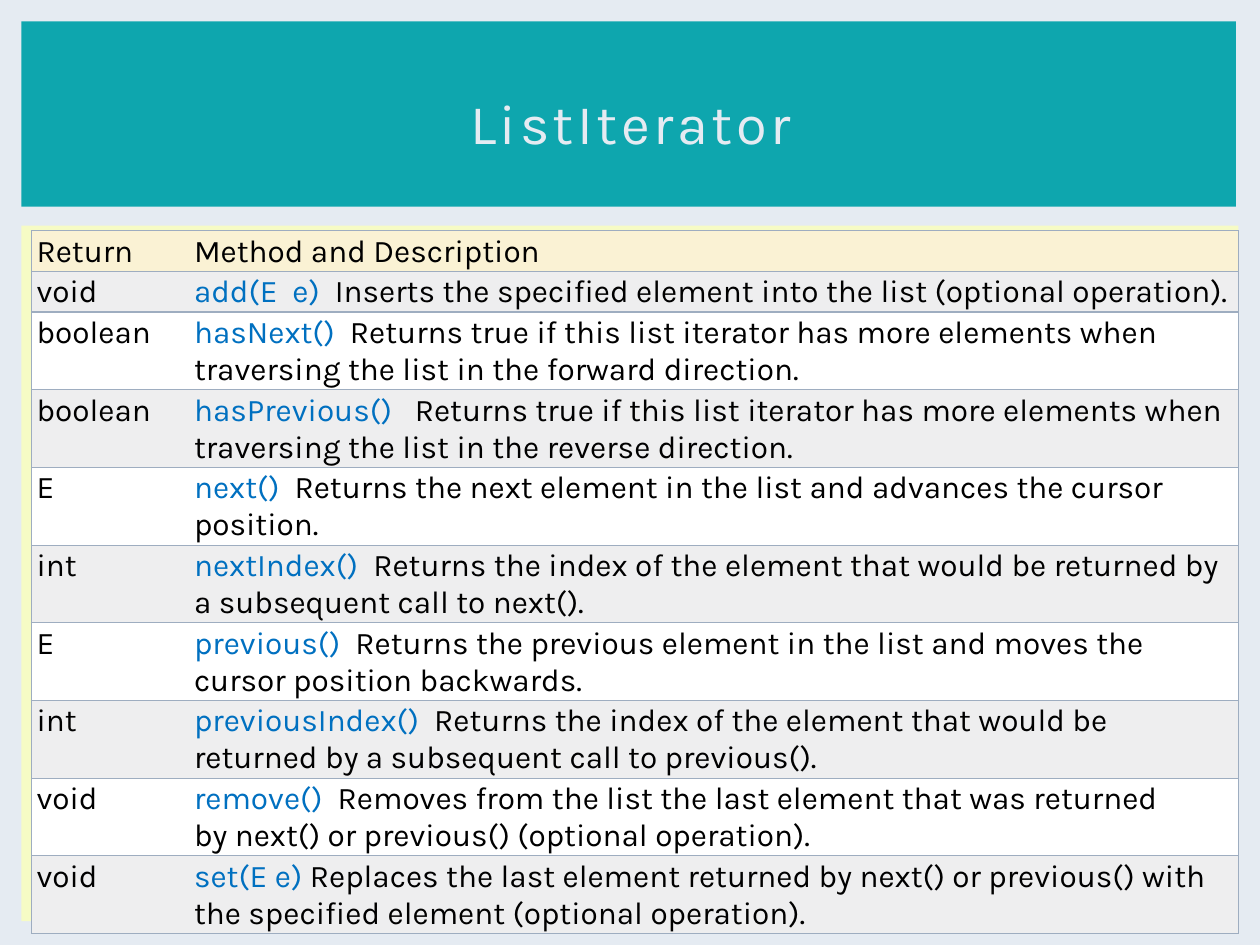
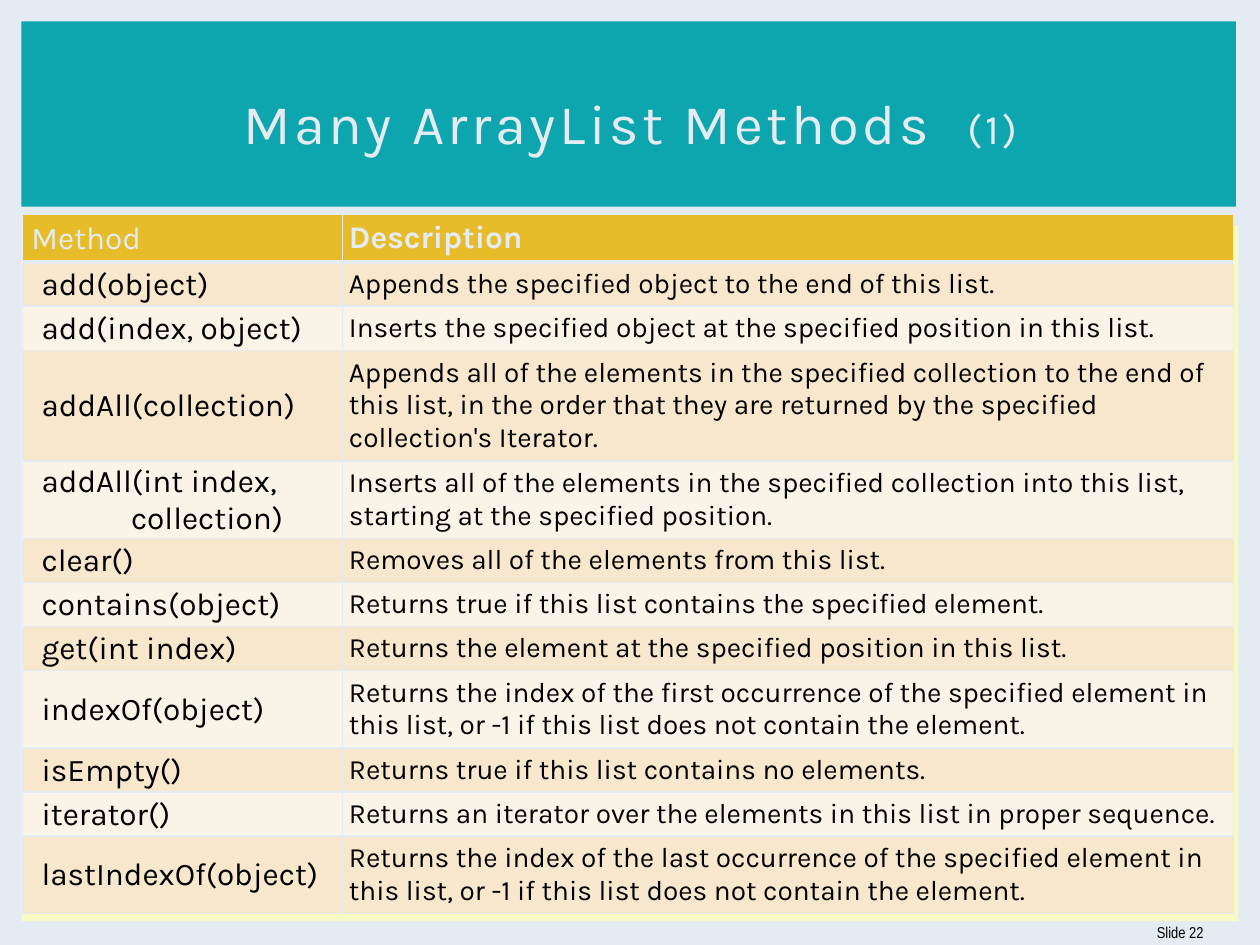
from lxml import etree
from pptx import Presentation
from pptx.dml.color import RGBColor
from pptx.enum.shapes import MSO_SHAPE as Shape
from pptx.enum.text import MSO_ANCHOR as Anchor, MSO_AUTO_SIZE as AutoSize, PP_ALIGN as Align
from pptx.oxml.ns import qn
from pptx.util import Inches, Pt

rgb = RGBColor.from_string

PAPER, TEAL, CREAM = "E5EBF2", "0EA6AE", "F6FBC5"
BLACK, METHOD_BLUE = "000000", "0070C0"
GRID, GRID_HEADER, GRID_BANDS = "9EADC0", "FAF2D4", ("EEEEEF", "FFFFFF")
GOLD, GOLD_BANDS = "E7BC29", ("F6E7CD", "FAF3E8")
NO_TABLE_STYLE = "{2D5ABB26-0587-4C30-8999-92F81FD0307C}"
NBSP = chr(160)  # no-break space


def write(paragraph, text, size=18, color=BLACK, font="Karla", bold=False, spacing=0):
    """Append a formatted run; spacing is the letter spacing in points."""
    run = paragraph.add_run()
    run.text = text
    run.font.size = Pt(size)
    run.font.name = font
    run.font.bold = bold
    run.font.color.rgb = rgb(color)
    if spacing:
        run._r.get_or_add_rPr().set("spc", str(spacing * 100))


def format_cell(cell, fill, margins, line, borders):
    """Margins run left, top, right, bottom; borders map L, R, T, B to points."""
    cell.fill.solid()
    cell.fill.fore_color.rgb = rgb(fill)
    (cell.margin_left, cell.margin_top,
     cell.margin_right, cell.margin_bottom) = map(Inches, margins)
    properties = cell._tc.get_or_add_tcPr()
    for position, side in enumerate(side for side in "LRTB" if side in borders):
        edge = etree.Element(qn(f"a:ln{side}"), w=str(Pt(borders[side])))
        solid = etree.SubElement(edge, qn("a:solidFill"))
        etree.SubElement(solid, qn("a:srgbClr"), val=line)
        properties.insert(position, edge)


iterator_methods = [
    ("void", "add(E  e)  ",
     "Inserts the specified element into the list (optional operation)."),
    ("boolean", "hasNext()  ",
     "Returns true if this list iterator has more elements when traversing the list "
     "in the forward direction."),
    ("boolean", "hasPrevious()   ",
     "Returns true if this list iterator has more elements when traversing the list "
     "in the reverse direction."),
    ("E", "next()  ",
     "Returns the next element in the list and advances the cursor position."),
    ("int", "nextIndex()  ",
     "Returns the index of the element that would be returned by a subsequent call to next()."),
    ("E", "previous()  ",
     "Returns the previous element in the list and moves the cursor position backwards."),
    ("int", "previousIndex()  ",
     "Returns the index of the element that would be returned by a subsequent call "
     "to previous()."),
    ("void", "remove()  ",
     "Removes from the list the last element that was returned "
     f"by{NBSP}next(){NBSP}or{NBSP}previous(){NBSP}(optional operation)."),
    ("void", "set(E e) ",
     "Replaces the last element returned by next() or previous() with the specified "
     "element (optional operation)."),
]

# Method, description, row height
array_list_methods = [
    ("add(object)", "Appends the specified object to the end of this list.", 0.35),
    ("add(index, object)",
     "Inserts the specified object at the specified position in this list.", 0.35),
    ("addAll(collection)",
     "Appends all of the elements in the specified collection to the end of this list, "
     "in the order that they are returned by the specified collection's Iterator.", 0.87),
    ("addAll(int index,\vcollection)",
     "Inserts all of the elements in the specified collection into this list, "
     "starting at the specified position.", 0.61),
    ("clear()", "Removes all of the elements from this list.", 0.35),
    ("contains(object)", "Returns true if this list contains the specified element.", 0.35),
    ("get(int index)", "Returns the element at the specified position in this list.", 0.35),
    ("indexOf(object)",
     "Returns the index of the first occurrence of the specified element in this list, "
     "or -1 if this list does not contain the element.", 0.61),
    ("isEmpty()", "Returns true if this list contains no elements.", 0.35),
    ("iterator()",
     "Returns an iterator over the elements in this list in proper sequence.", 0.35),
    ("lastIndexOf(object)",
     "Returns the index of the last occurrence of the specified element in this list, "
     "or -1 if this list does not contain the element.", 0.61),
]

# Title runs with sizes, footer, table left and top, column widths, row heights
pages = [
    ([("ListIterator", 32)], None, (0.25, 1.83), (1.25, 8.33),
     [0.32] * 2 + [0.61] * 8),
    ([("Many ArrayList Methods  ", 32), ("(1)", 24)], "Slide 22", (0.18, 1.7), (2.54, 7.07),
     [0.38] + [height for _, _, height in array_list_methods]),
]

prs = Presentation()
prs.slide_width, prs.slide_height = Inches(10), Inches(7.5)
backdrop = prs.slide_master.background.fill
backdrop.solid()
backdrop.fore_color.rgb = rgb(PAPER)

tables = []
for title_runs, footer_text, corner, widths, heights in pages:
    slide = prs.slides.add_slide(prs.slide_layouts[5])
    shapes = slide.shapes

    for color, box in ((CREAM, (0.17, 1.79, 9.66, 5.52)), (TEAL, (0.17, 0.17, 9.64, 1.47))):
        band = shapes.add_shape(Shape.RECTANGLE, *map(Inches, box))
        band.shadow.inherit = False
        band.fill.solid()
        band.fill.fore_color.rgb = rgb(color)
        band.line.fill.background()

    if footer_text:
        footer = shapes.add_textbox(*map(Inches, (9.01, 7.25, 0.64, 0.3))).text_frame
        footer.word_wrap = True
        footer.vertical_anchor = Anchor.MIDDLE
        footer.paragraphs[0].alignment = Align.RIGHT
        write(footer.paragraphs[0], footer_text, size=9, font="Arial Narrow")

    size = (sum(widths), sum(heights))
    table_frame = shapes.add_table(len(heights), len(widths), *map(Inches, corner + size))
    table = table_frame.table
    table.first_row = table.horz_banding = False
    table._tbl.tblPr.find(qn("a:tableStyleId")).text = NO_TABLE_STYLE
    for column, width in zip(table.columns, widths):
        column.width = Inches(width)
    for row, height in zip(table.rows, heights):
        row.height = Inches(height)
    tables.append(table)

    title = shapes.title
    title.left, title.top, title.width, title.height = map(Inches, (0.42, 0.39, 9.17, 1.15))
    heading = title.text_frame
    heading.auto_size = AutoSize.NONE
    heading.vertical_anchor = Anchor.MIDDLE
    heading.paragraphs[0].alignment = Align.CENTER
    for text, points in title_runs:
        write(heading.paragraphs[0], text, size=points, color=PAPER, spacing=2)
    shapes.element.append(title.element)  # bring the title in front of its band

iterator_table, array_list_table = tables

# ListIterator: return type beside the method and its description
for r, (returns, method, description) in enumerate(
        [("Return", "", "Method and Description")] + iterator_methods):
    fill = GRID_BANDS[(r - 1) % 2] if r else GRID_HEADER
    for c, outer_side in enumerate("LR"):
        format_cell(iterator_table.cell(r, c), fill, (0.04, 0.02, 0.02, 0.01), GRID,
                    dict.fromkeys(outer_side + "TB", 0.75))
    write(iterator_table.cell(r, 0).text_frame.paragraphs[0], returns)
    explanation = iterator_table.cell(r, 1).text_frame.paragraphs[0]
    if method:
        write(explanation, method, color=METHOD_BLUE)
    write(explanation, description)

# ArrayList: method beside its description
for r, (method, description, _) in enumerate(
        [("Method", "Description", None)] + array_list_methods):
    is_header = r == 0
    fill = GOLD if is_header else GOLD_BANDS[(r - 1) % 2]
    borders = {"L": 1, "R": 1, "T": 1, "B": 3 if is_header else 1}
    method_margins = (0.07 if is_header else 0.15, 0.01, 0.01, 0)
    description_margins = (0.05, 0.04, 0.05, 0.04)
    color = PAPER if is_header else BLACK
    for c, margins in enumerate((method_margins, description_margins)):
        cell = array_list_table.cell(r, c)
        cell.vertical_anchor = Anchor.MIDDLE
        format_cell(cell, fill, margins, PAPER, borders)

    signature = array_list_table.cell(r, 0).text_frame.paragraphs[0]
    first_line, *continuation = method.split("\v")
    write(signature, first_line, color=color)
    for text in continuation:
        hanging = Inches(0.71)
        signature._p.get_or_add_pPr().set("marL", str(hanging))
        signature._p.get_or_add_pPr().set("indent", str(-hanging))
        signature.add_line_break()
        write(signature, text, color=color)
    write(array_list_table.cell(r, 1).text_frame.paragraphs[0], description,
          size=18 if is_header else 16, color=color, bold=is_header)

prs.save("out.pptx")
